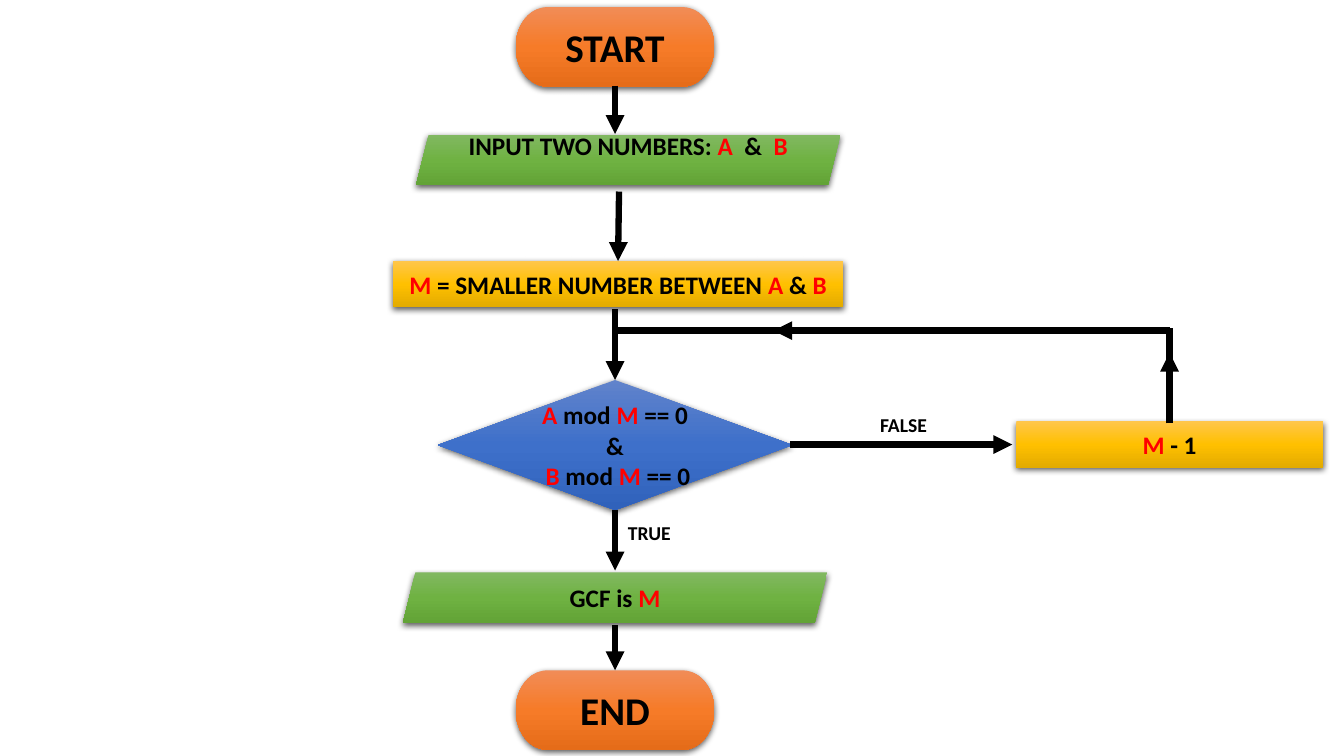
from lxml import etree
from pptx import Presentation
from pptx.dml.color import RGBColor
from pptx.enum import shapes, text
from pptx.oxml import ns, parse_xml
from pptx.util import Inches, Pt

BLACK = RGBColor(0, 0, 0)
RED = RGBColor(255, 0, 0)
FONT = "Calibri"
ORANGE = [RGBColor.from_string(c) for c in ("F18C57", "F67B28", "E56C19")]
GREEN = [RGBColor.from_string(c) for c in ("81B861", "6FB242", "62A336")]
GOLD = [RGBColor.from_string(c) for c in ("FFC64B", "FFC000", "E3AB00")]
BLUE = [RGBColor.from_string(c) for c in ("6183CB", "3E70CA", "3062BB")]

# Kind of step: preset shape, width, height, gradient, text size
S = shapes.MSO_SHAPE
KINDS = {
    "end": (S.FLOWCHART_TERMINATOR, 1.97, 0.79, ORANGE, 28),
    "data": (S.PARALLELOGRAM, 4.21, 0.5, GREEN, 18),
    "set": (S.RECTANGLE, 4.47, 0.46, GOLD, 18),
    "step": (S.RECTANGLE, 3.04, 0.46, GOLD, 18),
    "test": (S.DIAMOND, 3.52, 1.29, BLUE, 18),
}

# Steps: kind, centre x, top, lines of text (variables between asterisks)
MID, BACK, LOOP, ROW = 6.1, 11.6, 3.28, 4.41
STEPS = [
    ("end", MID, 0.07, ["START"]),
    ("data", 6.23, 1.34, ["INPUT TWO NUMBERS: *A*  &  *B*"]),
    ("set", 6.13, 2.59, ["*M* = SMALLER NUMBER BETWEEN *A *&* B*"]),
    ("test", MID, 3.77, ["*A* mod *M *== 0", "&", " *B* mod *M *== 0"]),
    ("step", BACK, 4.18, ["*M *- 1"]),
    ("data", MID, 5.68, ["GCF is *M*"]),
    ("end", MID, 6.65, ["END"]),
]

# Lines: from, to, arrowhead
LINES = [
    ((MID, 0.85), (MID, 1.33), True),
    ((6.14, 1.9), (6.13, 2.59), True),
    ((MID, 3.07), (MID, 3.77), True),
    ((MID, 5.06), (MID, 5.66), True),
    ((MID, 6.2), (MID, 6.65), True),
    ((7.84, ROW), (10.04, ROW), True),
    ((BACK, 4.2), (BACK, 3.5), True),
    ((BACK, 3.73), (BACK, 3.25), False),
    ((BACK, LOOP), (MID, LOOP), False),
    ((8.73, LOOP), (7.67, LOOP), True),
]

# Branch labels: text, left, top, width
LABELS = [("TRUE", 6.13, 5.12, 0.63), ("FALSE", 8.63, 4.05, 0.67)]


def write(frame, lines, size, align):
    for i, line in enumerate(lines):
        par = frame.paragraphs[0] if i == 0 else frame.add_paragraph()
        par.alignment = align
        for j, part in enumerate(line.split("*")):
            if part:
                run = par.add_run()
                run.text = part
                font = run.font
                font.name, font.size, font.bold = FONT, Pt(size), True
                font.color.rgb = RED if j % 2 else BLACK


def shade(shape, tones):
    """Three-stop vertical gradient, no outline, soft shadow below."""
    stops = "".join(f'<a:gs pos="{i * 50000}"><a:srgbClr val="{tone}"/></a:gs>'
                    for i, tone in enumerate(tones))
    props = shape._element.spPr
    props.append(parse_xml(
        f'<a:gradFill {ns.nsdecls("a")} rotWithShape="1"><a:gsLst>{stops}'
        '</a:gsLst><a:lin ang="5400000" scaled="0"/></a:gradFill>'))
    shape.line.fill.background()
    props.append(parse_xml(
        f'<a:effectLst {ns.nsdecls("a")}><a:outerShdw blurRad="{Pt(4.5)}" '
        f'dist="{Pt(1.5)}" dir="5400000" algn="ctr" rotWithShape="0">'
        '<a:srgbClr val="000000"><a:alpha val="63000"/></a:srgbClr>'
        '</a:outerShdw></a:effectLst>'))


deck = Presentation()
deck.slide_width, deck.slide_height = Inches(13.33), Inches(7.5)
slide = deck.slides.add_slide(deck.slide_layouts[6])

# Steps
for kind, mid, top, lines in STEPS:
    preset, wide, high, tones, size = KINDS[kind]
    node = slide.shapes.add_shape(preset, Inches(mid - wide / 2), Inches(top),
                                  Inches(wide), Inches(high))
    shade(node, tones)
    frame = node.text_frame
    frame.word_wrap = True
    frame.vertical_anchor = text.MSO_ANCHOR.MIDDLE
    if lines[0].startswith("INPUT"):
        frame.margin_bottom = Inches(0.34)  # lifts the text to the top edge
    write(frame, lines, size, text.PP_ALIGN.CENTER)

# Lines and arrows
for start, stop, head in LINES:
    line = slide.shapes.add_connector(
        shapes.MSO_CONNECTOR.STRAIGHT, *map(Inches, start + stop))
    line.line.color.rgb = BLACK
    line.line.width = Pt(4.5)
    if head:
        etree.SubElement(line.line._get_or_add_ln(), ns.qn("a:tailEnd"),
                         type="triangle")
    etree.SubElement(line._element.spPr, ns.qn("a:effectLst"))

# Branch labels
for label, left, top, wide in LABELS:
    box = slide.shapes.add_textbox(Inches(left), Inches(top),
                                   Inches(wide), Inches(0.34))
    box.text_frame.word_wrap = False
    box.text_frame.auto_size = text.MSO_AUTO_SIZE.SHAPE_TO_FIT_TEXT
    write(box.text_frame, [label], 14, text.PP_ALIGN.LEFT)

deck.save("out.pptx")
